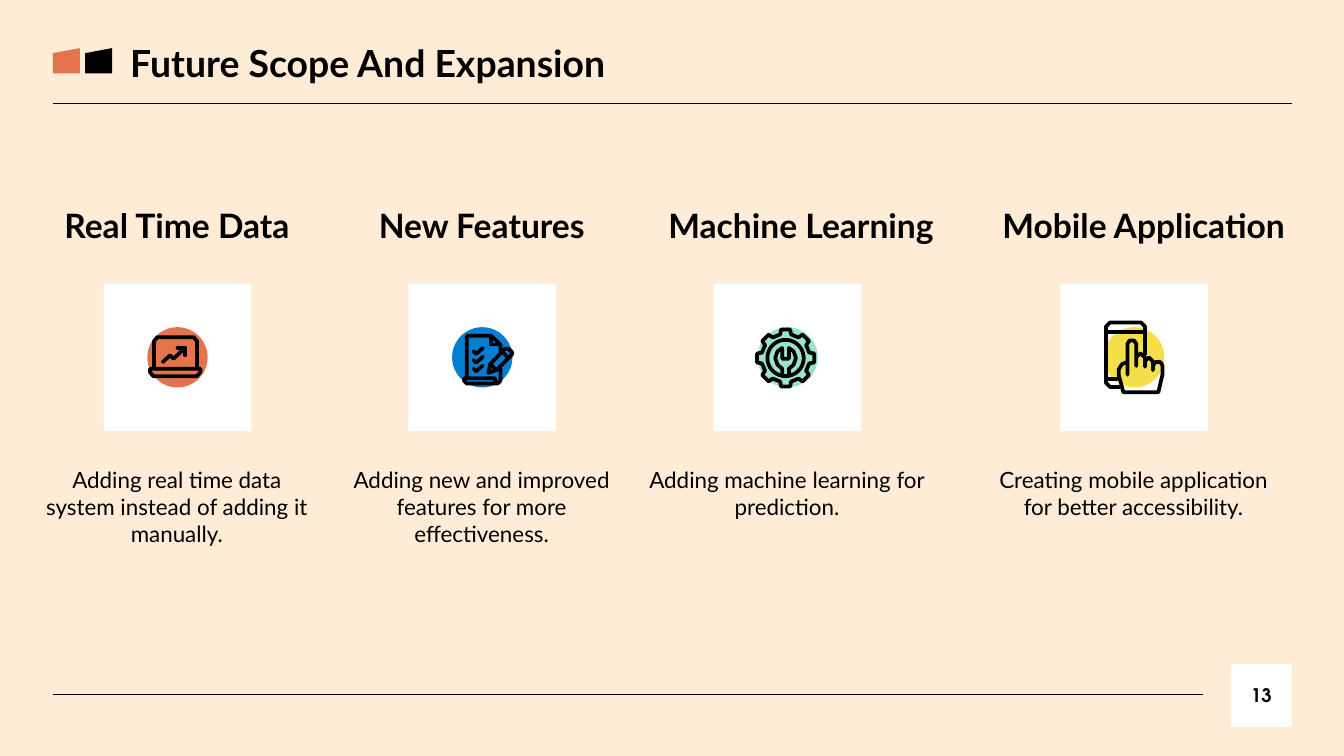
import math
import pptx
import pptx.util
import pptx.dml.color
import pptx.enum.shapes
import pptx.enum.text
import pptx.oxml

Cm = pptx.util.Cm
Pt = pptx.util.Pt
RGBColor = pptx.dml.color.RGBColor
Shape = pptx.enum.shapes.MSO_SHAPE
Align = pptx.enum.text.PP_ALIGN
Anchor = pptx.enum.text.MSO_ANCHOR

CREAM = RGBColor(0xFF, 0xEC, 0xD6)
BLACK = RGBColor(0, 0, 0)
WHITE = RGBColor(0xFF, 0xFF, 0xFF)
ORANGE = RGBColor(0xE5, 0x74, 0x4C)
BLUE = RGBColor(0x05, 0x7E, 0xD2)
MINT = RGBColor(0x98, 0xE5, 0xCB)
YELLOW = RGBColor(0xF4, 0xDF, 0x4A)


def ring(radius, count=48):
    angles = [2 * math.pi * step / count for step in range(count + 1)]
    return [(radius * math.cos(a), radius * math.sin(a)) for a in angles]


def gear(teeth=8, root=18, tip=21.5):
    corners = [(-13, root), (-9, tip), (9, tip), (13, root)]
    points = []
    for tooth in range(teeth):
        for turn, radius in corners:
            angle = math.radians(tooth * 360 / teeth + turn)
            points.append((radius * math.cos(angle), radius * math.sin(angle)))
    return points + points[:1]


ICON_UNIT = Cm(0.0254)
LAPTOP = [
    [(-17.5, 8), (-17.5, -12), (-15, -15), (12, -15), (14.5, -12), (14.5, 8)],
    [(-20.5, 8.5), (17, 8.5), (17, 11), (14.5, 14), (-18, 14), (-20.5, 11), (-20.5, 8.5)],
    [(-11, 3.5), (-5.5, -1.5), (-3, 1), (5.5, -7)],
    [(0, -7), (5.5, -7), (5.5, -1.5)],
]
CHECKLIST = [
    [(-11.5, 15.5), (-11.5, -16), (6.5, -16), (13.5, -9.5), (13.5, -4.5)],
    [(6.5, -16), (6.5, -9.5), (13.5, -9.5)],
    [(13.5, 8.5), (13.5, 17.5), (11.5, 19.5), (9.5, 17.5), (9.5, 15.5),
     (-13.5, 15.5), (-13.5, 17.5), (-11.5, 19.5), (11.5, 19.5)],
    [(4.5, 11.5), (6, 5), (17, -6.5), (19.5, -6.5), (22, -4), (22, -2),
     (10.5, 9.5), (4.5, 11.5)],
    [(6, 5), (10.5, 9.5)],
    [(15, -4), (19.5, 0.5)],
] + [[(-6.5, y), (-4.5, y + 2), (0.5, y - 2.5)] for y in (-4.5, 2, 8.5)]
GEAR = [
    gear(),
    ring(13.5),
    [(-2.5, 12), (-2.5, 8), (-6, 5), (-7.7, 0), (-6, -5), (-2.5, -7.5), (-2.5, 0.5),
     (2.5, 0.5), (2.5, -7.5), (6, -5), (7.7, 0), (6, 5), (2.5, 8), (2.5, 12)],
]
PHONE = [
    [(-11, 22), (-18, 22), (-21, 19), (-21, -23), (-18, -26), (5, -26), (8, -23), (8, -2)],
    [(-21, -19), (8, -19)],
    [(-21, 16), (-13, 16)],
    [(-5, 13), (-5, -10), (-3.5, -12.5), (0, -12.5), (1.5, -10), (1.5, 6.5)],
    [(1.5, 0), (4.5, -3), (8, 0), (8, 7)],
    [(8, 3), (11, 0), (14, 3), (14, 9.5)],
    [(-5, 3.5), (-9, 5), (-11.5, 9), (-11.5, 13), (-8, 26), (18, 26), (21, 13),
     (21, 6), (19.5, 3.5), (16, 3.5), (14, 6)],
]

TITLE = "Future Scope And Expansion"
PAGE_NUMBER = "13"
COLUMNS = [
    ("Real Time Data", 0.46, 5.77, "Adding real time data system instead of adding it manually.",
     0.46, ORANGE, LAPTOP, (0, 0)),
    ("New Features", 6.22, 5.77, "Adding new and improved features for more effectiveness.",
     6.22, BLUE, CHECKLIST, (0, 0)),
    ("Machine Learning", 11.99, 6.3, "Adding machine learning for prediction.",
     11.99, MINT, GEAR, (-1.5, 0.5)),
    ("Mobile Application", 18.29, 6.65, "Creating mobile application for better accessibility.",
     18.54, YELLOW, PHONE, (0, 0)),
]
RULES = [(1.0, 24.41, 1.96), (1.0, 22.73, 13.13)]
FLAGS = [(1.0, ORANGE), (1.61, BLACK)]
BODY_WIDTH = 5.77
CARD, CARD_TOP, CARD_INDENT = 2.79, 5.36, 1.5
DISC = 1.14

deck = pptx.Presentation()
deck.slide_width, deck.slide_height = Cm(25.4), Cm(14.29)
page = deck.slides.add_slide(deck.slide_layouts[5])
page.background.fill.solid()
page.background.fill.fore_color.rgb = CREAM


def write(box, text, size, bold=False, align=Align.CENTER, font="Lato", anchor=Anchor.TOP):
    frame = box.text_frame
    frame.auto_size = pptx.enum.text.MSO_AUTO_SIZE.NONE
    frame.word_wrap = True
    frame.vertical_anchor = anchor
    frame.margin_left = frame.margin_right = Cm(0.25)
    frame.margin_top = frame.margin_bottom = Cm(0.25)
    para = frame.paragraphs[0]
    para.alignment = align
    span = para.add_run()
    span.text = text
    span.font.name, span.font.size, span.font.bold = font, Pt(size), bold
    span.font.color.rgb = BLACK


def add_text(left, top, width, height, text, size, bold=False):
    box = page.shapes.add_textbox(Cm(left), Cm(top), Cm(width), Cm(height))
    write(box, text, size, bold)


def add_block(kind, left, top, width, height, color):
    block = page.shapes.add_shape(kind, Cm(left), Cm(top), Cm(width), Cm(height))
    block.shadow.inherit = False
    block.fill.solid()
    block.fill.fore_color.rgb = color
    block.line.fill.background()
    return block


def add_stroke(points, center_x, center_y):
    spots = [(center_x + x * ICON_UNIT, center_y + y * ICON_UNIT) for x, y in points]
    closed = points[0] == points[-1]
    builder = page.shapes.build_freeform(*spots[0], scale=1.0)
    builder.add_line_segments(spots[1:], close=closed)
    stroke = builder.convert_to_shape()
    stroke.shadow.inherit = False
    stroke.fill.background()
    stroke.line.color.rgb = BLACK
    stroke.line.width = Pt(2)
    outline = stroke.line._get_or_add_ln()
    outline.set("cap", "rnd")
    outline.append(pptx.oxml.parse_xml(
        '<a:round xmlns:a="http://schemas.openxmlformats.org/drawingml/2006/main"/>'))


title = page.shapes.title
title.left, title.top, title.width, title.height = Cm(2.21), Cm(0.51), Cm(12.85), Cm(1.12)
write(title, TITLE, 20, True, Align.LEFT)

for start, end, y in RULES:
    rule = page.shapes.add_connector(
        pptx.enum.shapes.MSO_CONNECTOR.STRAIGHT, Cm(start), Cm(y), Cm(end), Cm(y))
    rule.line.color.rgb = BLACK
    rule.line.width = Pt(0.75)
    rule._element.spPr.append(pptx.oxml.parse_xml(
        '<a:effectLst xmlns:a="http://schemas.openxmlformats.org/drawingml/2006/main"/>'))

for left, color in FLAGS:
    add_block(Shape.FLOWCHART_MANUAL_INPUT, left, 0.91, 0.51, 0.48, color)

for heading, left, width, body, body_left, color, icon, shift in COLUMNS:
    add_text(left, 3.63, width, 1.55, heading, 18, True)
    add_text(body_left, 8.57, BODY_WIDTH, 2.0, body, 12)
    card_left = body_left + CARD_INDENT
    add_block(Shape.RECTANGLE, card_left, CARD_TOP, CARD, CARD, WHITE)
    inset = (CARD - DISC) / 2
    add_block(Shape.OVAL, card_left + inset, CARD_TOP + inset, DISC, DISC, color)
    center_x = Cm(card_left + CARD / 2) + shift[0] * ICON_UNIT
    center_y = Cm(CARD_TOP + CARD / 2) + shift[1] * ICON_UNIT
    for points in icon:
        add_stroke(points, center_x, center_y)

badge = add_block(Shape.RECTANGLE, 23.27, 12.55, 1.14, 1.19, WHITE)
write(badge, PAGE_NUMBER, 10, True, font="TeX Gyre Adventor", anchor=Anchor.MIDDLE)

deck.save("out.pptx")
